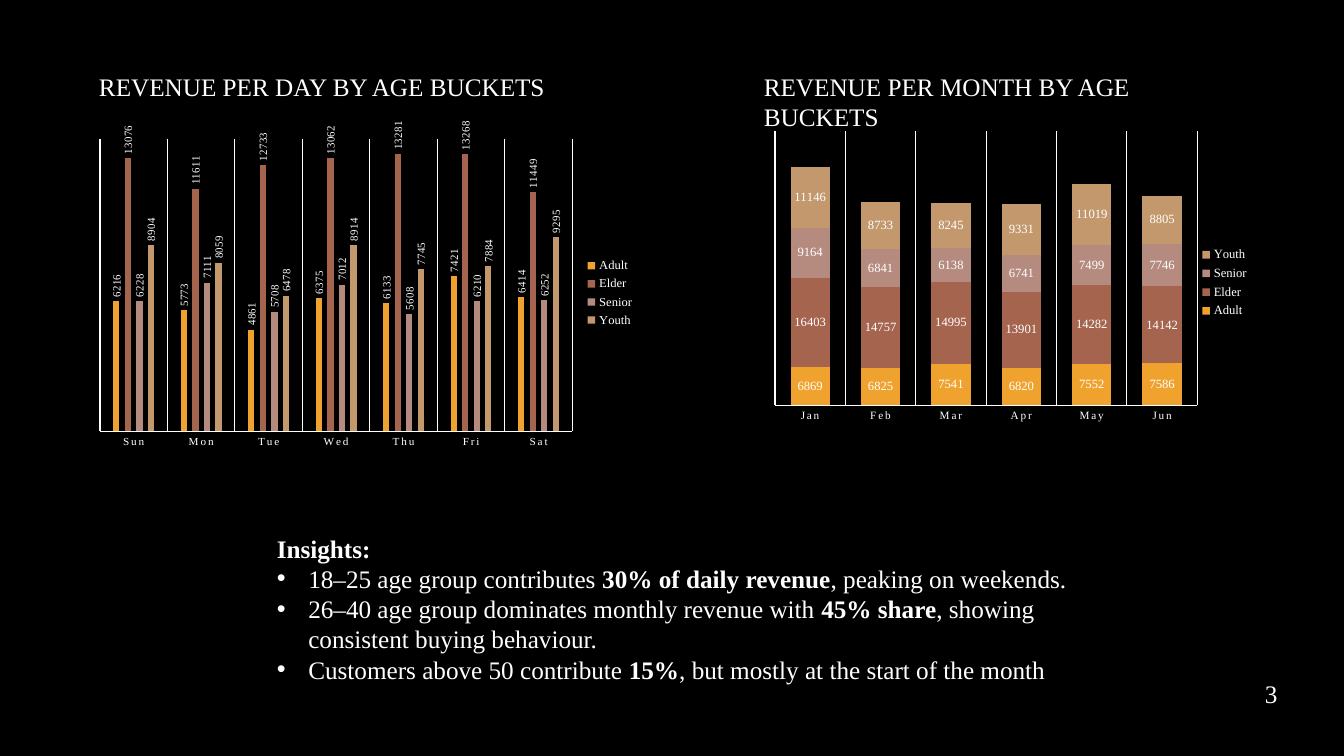
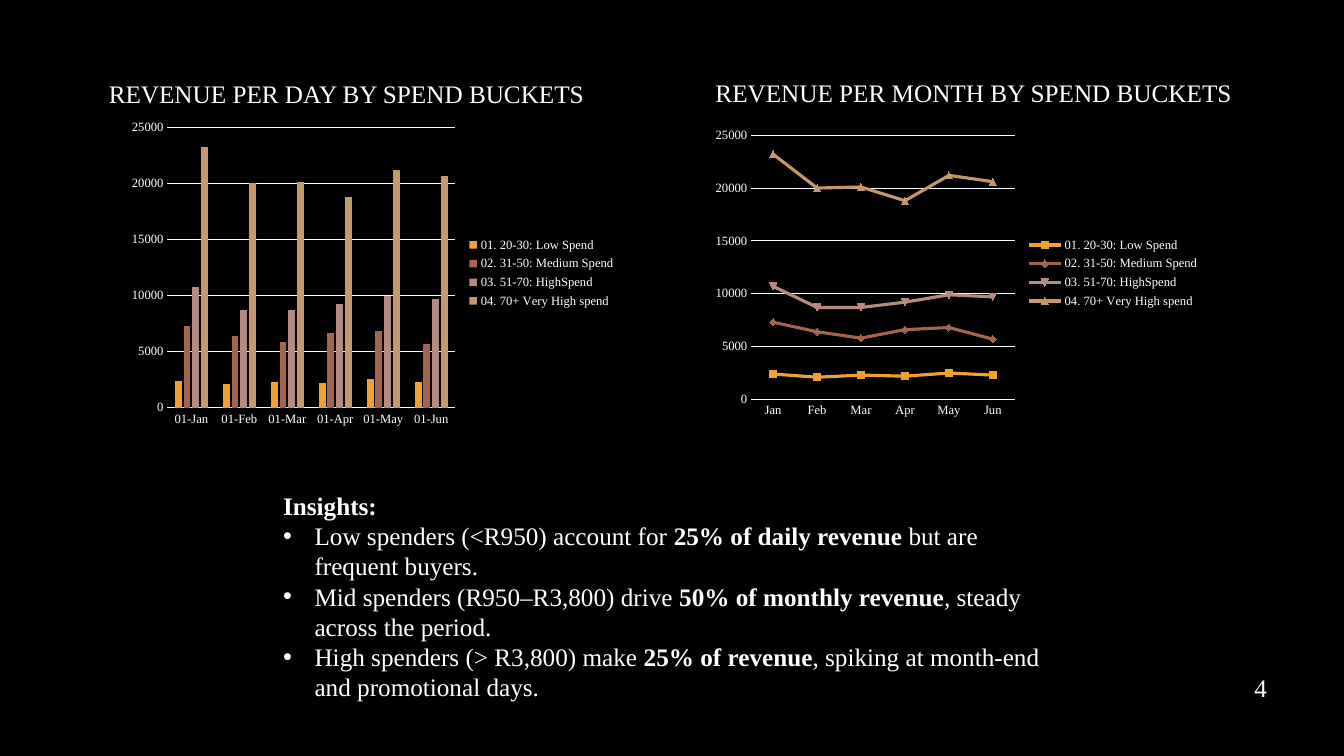
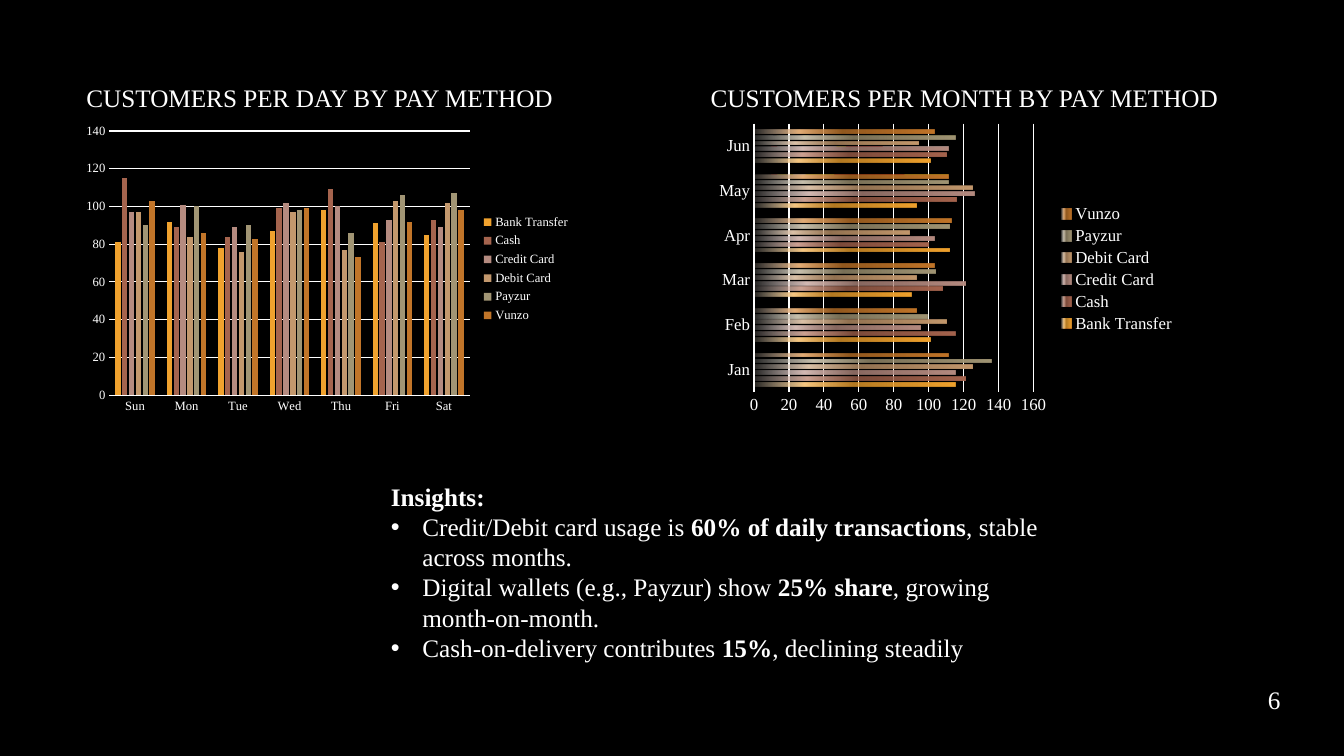
from colorsys import hls_to_rgb, rgb_to_hls
from lxml.etree import SubElement
from pptx import Presentation
from pptx.chart.data import CategoryChartData
from pptx.dml.color import RGBColor
from pptx.enum.chart import XL_CHART_TYPE, XL_LABEL_POSITION, XL_LEGEND_POSITION, XL_TICK_MARK
from pptx.enum.text import MSO_ANCHOR, MSO_AUTO_SIZE, PP_ALIGN
from pptx.oxml import parse_xml
from pptx.oxml.ns import nsdecls, qn
from pptx.util import Pt

FACE = "Times New Roman"
WHITE = "FFFFFF"
BLACK = "000000"
HUES = ["F0A22E", "A5644E", "B58B80", "C3986D", "A19574", "C17529"]
DAYS = ["Sun", "Mon", "Tue", "Wed", "Thu", "Fri", "Sat"]
MONTHS = ["Jan", "Feb", "Mar", "Apr", "May", "Jun"]
AGES = ["Adult", "Elder", "Senior", "Youth"]
PAYS = ["Bank Transfer", "Cash", "Credit Card", "Debit Card", "Payzur", "Vunzo"]
SPEND = {
    "01. 20-30: Low Spend": [2400, 2100, 2300, 2200, 2500, 2300],
    "02. 31-50: Medium Spend": [7300, 6400, 5800, 6600, 6800, 5700],
    "03. 51-70: HighSpend": [10700, 8700, 8700, 9200, 9900, 9700],
    "04. 70+ Very High spend": [23200, 20000, 20100, 18800, 21200, 20600],
}
AGE_DAY = dict(zip(AGES, [
    [6216, 5773, 4861, 6375, 6133, 7421, 6414],
    [13076, 11611, 12733, 13062, 13281, 13268, 11449],
    [6228, 7111, 5708, 7012, 5608, 6210, 6252],
    [8904, 8059, 6478, 8914, 7745, 7884, 9295],
]))
AGE_MONTH = dict(zip(AGES, [
    [6869, 6825, 7541, 6820, 7552, 7586],
    [16403, 14757, 14995, 13901, 14282, 14142],
    [9164, 6841, 6138, 6741, 7499, 7746],
    [11146, 8733, 8245, 9331, 11019, 8805],
]))
PAY_DAY = dict(zip(PAYS, [
    [81, 92, 78, 87, 98, 91, 85],
    [115, 89, 84, 99, 109, 81, 93],
    [97, 101, 89, 102, 100, 93, 89],
    [97, 84, 76, 97, 77, 103, 102],
    [90, 100, 90, 98, 86, 106, 107],
    [103, 86, 83, 99, 73, 92, 98],
]))
PAY_MONTH = dict(zip(PAYS, [
    [115, 101, 90, 112, 93, 101],
    [121, 115, 108, 100, 116, 110],
    [115, 95, 121, 103, 126, 111],
    [125, 110, 93, 89, 125, 94],
    [136, 99, 104, 112, 111, 115],
    [111, 93, 103, 113, 111, 103],
]))


def tint(code):
    return RGBColor.from_string(code)


def style(font, size):
    font.name = FACE
    font.size = Pt(size)
    font.color.rgb = tint(WHITE)


def place(shape, box):
    shape.left, shape.top, shape.width, shape.height = (Pt(n) for n in box)
    frame = shape.text_frame
    frame.word_wrap = True
    frame.auto_size = MSO_AUTO_SIZE.SHAPE_TO_FIT_TEXT
    frame.vertical_anchor = MSO_ANCHOR.TOP
    return frame


def label(shape, box, text):
    para = place(shape, box).paragraphs[0]
    para.text = text
    para.alignment = PP_ALIGN.LEFT
    style(para.font, 18)


def notes(shape, box, lines):
    frame = place(shape, box)
    for rank, line in enumerate(["*Insights:*"] + lines):
        para = frame.paragraphs[0] if rank == 0 else frame.add_paragraph()
        props = para._p.get_or_add_pPr()
        inset = Pt(22.5) if rank else 0
        props.set("marL", str(inset))
        props.set("indent", str(-inset))
        if rank:
            SubElement(props, qn("a:buFont"), typeface="Arial")
            SubElement(props, qn("a:buChar"), char="•")
        else:
            SubElement(props, qn("a:buNone"))
        para.space_before = Pt(0)
        style(para.font, 18)
        for part, text in enumerate(line.split("*")):
            if text:
                run = para.add_run()
                run.text = text
                run.font.bold = part % 2 == 1


def rule(line, width):
    line.color.rgb = tint(WHITE)
    line.width = Pt(width)


def graph(slide, box, kind, cats, rows, top, size=9):
    data = CategoryChartData()
    data.categories = cats
    for name, vals in rows.items():
        data.add_series(name, vals)
    chart = slide.shapes.add_chart(kind, *(Pt(n) for n in box), data).chart
    chart.has_title = False
    style(chart.font, 10)
    clear = parse_xml(f"<c:spPr {nsdecls('c', 'a')}><a:noFill/><a:ln><a:noFill/></a:ln></c:spPr>")
    chart.element.find(qn("c:txPr")).addprevious(clear)
    chart.has_legend = True
    chart.legend.position = XL_LEGEND_POSITION.RIGHT
    chart.legend.include_in_layout = False
    style(chart.legend.font, size)
    for axis in (chart.category_axis, chart.value_axis):
        axis.major_tick_mark = axis.minor_tick_mark = XL_TICK_MARK.NONE
        style(axis.tick_labels.font, size)
    rule(chart.category_axis.format.line, 0.75)
    scale = chart.value_axis
    scale.minimum_scale, scale.maximum_scale = 0, top
    scale.format.line.fill.background()
    rule(scale.major_gridlines.format.line, 0.75)
    chart.plots[0].vary_by_categories = False
    return chart


def bars(chart, gap, lap):
    plot = chart.plots[0]
    plot.gap_width, plot.overlap = gap, lap
    for row, code in zip(plot.series, HUES):
        row.format.fill.solid()
        row.format.fill.fore_color.rgb = tint(code)


def lines(chart):
    for row, code in zip(chart.plots[0].series, HUES):
        row.smooth = False
        row.marker.style = None
        row.format.line.color.rgb = tint(code)
        row.format.line.width = Pt(2.25)


def values(chart, size, spot, turn=0):
    axis = chart.category_axis
    style(axis.tick_labels.font, 8)
    axis.format.line.width = Pt(0.75)
    axis.has_major_gridlines = True
    rule(axis.major_gridlines.format.line, 0.75)
    for props in axis._element.iter(qn("a:defRPr")):
        props.set("spc", "120")
    chart.value_axis.has_major_gridlines = False
    chart.value_axis.visible = False
    plot = chart.plots[0]
    plot.has_data_labels = True
    marks = plot.data_labels
    marks.show_value = True
    marks.position = spot
    style(marks.font, size)
    if turn:
        body = next(marks._element.iter(qn("a:bodyPr")))
        body.set("rot", str(turn * 60000))
        body.set("vert", "horz")


def layout(chart, box):
    plot = chart.element.find(".//" + qn("c:plotArea"))
    for old in plot.findall(qn("c:layout")):
        plot.remove(old)
    node = parse_xml(f"<c:layout {nsdecls('c')}/>")
    hand = SubElement(node, qn("c:manualLayout"))
    SubElement(hand, qn("c:layoutTarget"), val="inner")
    for side in "xy":
        SubElement(hand, qn(f"c:{side}Mode"), val="edge")
    for side, part in zip("xywh", box):
        SubElement(hand, qn(f"c:{side}"), val=str(part))
    plot.insert(0, node)


def pale(code, keep):
    hue, light, rich = rgb_to_hls(*(n / 255 for n in tint(code)))
    mix = hls_to_rgb(hue, light * keep + 1 - keep, rich)
    return "".join(f"{round(n * 255):02X}" for n in mix)


def fade(chart):
    for row, code in zip(chart.plots[0].series, HUES):
        row.format.fill.gradient()
        row.format.fill.gradient_angle = 180
        stops = next(row._element.iter(qn("a:gsLst")))
        for old in list(stops):
            stops.remove(old)
        steps = [(0, code, 100), (51, code, 75), (75, pale(code, 0.6), 100), (100, pale(code, 0.2), 15)]
        for spot, shade, alpha in steps:
            stop = SubElement(stops, qn("a:gs"), pos=str(spot * 1000))
            ink = SubElement(stop, qn("a:srgbClr"), val=shade)
            if alpha < 100:
                SubElement(ink, qn("a:alpha"), val=str(alpha * 1000))


def page(deck, heads, number, spot, box, text):
    slide = deck.slides.add_slide(deck.slide_layouts[1])
    (first, place1), (second, place2) = heads
    label(slide.shapes.title, place1, first)
    label(slide.shapes.add_textbox(0, 0, 0, 0), place2, second)
    notes(slide.placeholders[1], box, text)
    label(slide.shapes.add_textbox(0, 0, 0, 0), (*spot, 61, 29), number)
    return slide


def ages(deck):
    slide = page(
        deck,
        [("REVENUE PER DAY BY AGE BUCKETS", (63.5, 47.5, 387, 29)),
         ("REVENUE PER MONTH BY AGE BUCKETS", (538.5, 47.5, 358, 29))],
        "3", (896.5, 481), (190.5, 377, 599, 117),
        ["18–25 age group contributes *30% of daily revenue*, peaking on weekends.",
         "26–40 age group dominates monthly revenue with *45% share*, showing consistent buying behaviour.",
         "Customers above 50 contribute *15%*, but mostly at the start of the month"])
    chart = graph(slide, (63.5, 87, 397, 237), XL_CHART_TYPE.COLUMN_CLUSTERED, DAYS, AGE_DAY, 14000)
    bars(chart, 444, -90)
    values(chart, 8, XL_LABEL_POSITION.OUTSIDE_END, -90)
    chart = graph(slide, (531.5, 87, 368, 230), XL_CHART_TYPE.COLUMN_STACKED, MONTHS, AGE_MONTH, 50000)
    bars(chart, 79, 100)
    values(chart, 9, XL_LABEL_POSITION.CENTER)
    layout(chart, (0.06, 0.03, 0.82, 0.85))


def spend(deck):
    slide = page(
        deck,
        [("REVENUE PER DAY BY SPEND BUCKETS", (70.5, 52, 377, 29)),
         ("REVENUE PER MONTH BY SPEND BUCKETS", (504, 52, 385, 29))],
        "4", (889, 476.5), (195, 346.5, 569.5, 160),
        ["Low spenders (<R950) account for *25% of daily revenue* but are frequent buyers.",
         "Mid spenders (R950–R3,800) drive *50% of monthly revenue*, steady across the period.",
         "High spenders (> R3,800) make *25% of revenue*, spiking at month-end and promotional days."])
    dates = [f"01-{month}" for month in MONTHS]
    chart = graph(slide, (87, 81, 360, 228), XL_CHART_TYPE.COLUMN_CLUSTERED, dates, SPEND, 25000)
    bars(chart, 219, -27)
    lines(graph(slide, (504, 87, 360, 216), XL_CHART_TYPE.LINE, MONTHS, SPEND, 25000))


def pay(deck):
    slide = page(
        deck,
        [("CUSTOMERS PER DAY BY PAY METHOD", (54.5, 55, 425, 29)),
         ("CUSTOMERS PER MONTH BY PAY METHOD", (500.5, 55, 405, 29))],
        "6", (898.5, 485.5), (272, 340, 498, 138),
        ["Credit/Debit card usage is *60% of daily transactions*, stable across months.",
         "Digital wallets (e.g., Payzur) show *25% share*, growing month-on-month.",
         "Cash-on-delivery contributes *15%*, declining steadily"])
    chart = graph(slide, (54.5, 84, 360, 216), XL_CHART_TYPE.COLUMN_CLUSTERED, DAYS, PAY_DAY, 140)
    bars(chart, 219, -27)
    chart = graph(slide, (507, 84, 340, 216), XL_CHART_TYPE.BAR_CLUSTERED, MONTHS, PAY_MONTH, 160, 12)
    bars(chart, 326, -58)
    fade(chart)
    chart.category_axis.format.line.width = Pt(1.5)


def main():
    deck = Presentation()
    deck.slide_width, deck.slide_height = Pt(960), Pt(540)
    fill = deck.slide_master.background.fill
    fill.solid()
    fill.fore_color.rgb = tint(BLACK)
    for build in (ages, spend, pay):
        build(deck)
    deck.save("out.pptx")


if __name__ == "__main__":
    main()
